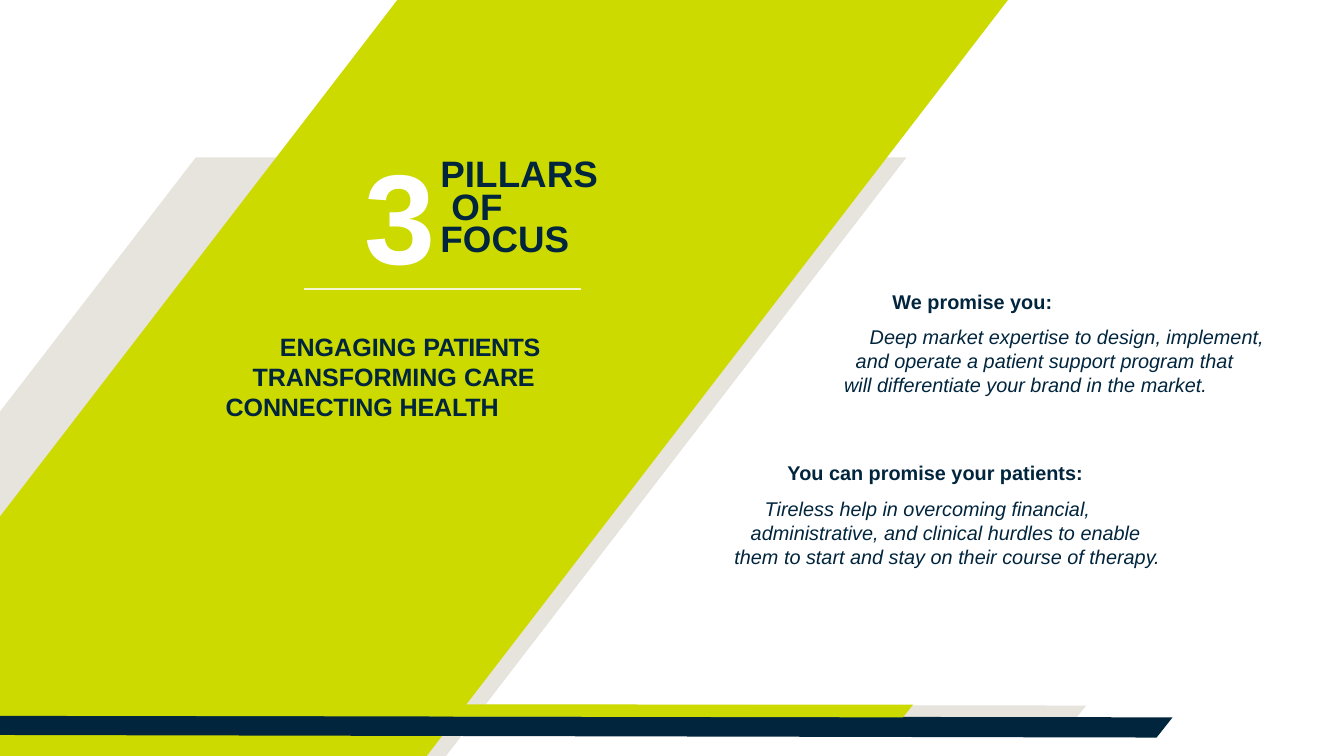
from lxml import etree
from pptx import Presentation
from pptx.dml.color import RGBColor
from pptx.enum.shapes import MSO_CONNECTOR
from pptx.enum.text import MSO_ANCHOR, MSO_AUTO_SIZE, PP_ALIGN
from pptx.oxml.ns import qn
from pptx.util import Pt

STRAIGHT = MSO_CONNECTOR.STRAIGHT
TOP = MSO_ANCHOR.TOP
NO_FIT = MSO_AUTO_SIZE.NONE
LEFT = PP_ALIGN.LEFT

COLORS = {"navy": "00253D", "lime": "CCDA00", "sand": "E7E4DD",
          "rule": "F5F8CE", "white": "FFFFFF"}


def place(box, left, top, width, height):
    """Set the frame of a text shape and clear its insets."""
    box.left, box.top, box.width, box.height = Pt(left), Pt(top), Pt(width), Pt(height)
    frame = box.text_frame
    frame.margin_left = frame.margin_right = frame.margin_top = frame.margin_bottom = 0
    frame.word_wrap = True
    frame.auto_size = NO_FIT
    frame.vertical_anchor = TOP
    return frame


def write_lines(frame, lines, size, pitch, color="navy"):
    """Each line: indent, space before, bold, italic, [(text, tracking), ...]."""
    for number, (indent, before, bold, italic, runs) in enumerate(lines):
        line = frame.add_paragraph() if number else frame.paragraphs[0]
        line.alignment = LEFT
        line.line_spacing = pitch
        line.space_before = Pt(before)
        line.space_after = Pt(0)
        properties = line._p.get_or_add_pPr()
        properties.set("marL", str(Pt(indent)))
        properties.set("indent", "0")
        etree.SubElement(properties, qn("a:buNone"))
        for text, tracking in runs:
            run = line.add_run()
            run.text = text
            run.font.name = "Arial"
            run.font.size = Pt(size)
            run.font.bold = bold
            run.font.italic = italic
            run.font.color.rgb = RGBColor.from_string(COLORS[color])
            run.font._element.set("spc", str(round(tracking * 100)))


prs = Presentation()
prs.slide_width, prs.slide_height = Pt(1152), Pt(648)
slide = prs.slides.add_slide(prs.slide_layouts[1])
title, promises = slide.placeholders

# Slanted bands, back to front
bands = [
    ("sand", [(112.3, 603.4), (103.7, 614.2), (922.3, 615.6), (931, 604.8)]),
    ("sand", [(776.9, 135), (167.8, 135), (0, 352.8), (0, 648), (382.3, 648)]),
    ("lime", [(864, 0), (340.6, 0), (0, 442.8), (0, 648), (365.8, 648)]),
    ("navy", [(0, 613.4), (0, 630), (991.4, 632.2), (1005.1, 614.9)]),
    ("lime", [(0, 603.4), (0, 613.4), (774, 614.9), (782.6, 604.1)]),
]
for color, corners in bands:
    points = [(Pt(x), Pt(y)) for x, y in corners]
    outline = slide.shapes.build_freeform(*points[0], scale=1.0)
    outline.add_line_segments(points[1:], close=True)
    band = outline.convert_to_shape()
    band.shadow.inherit = False
    band.fill.solid()
    band.fill.fore_color.rgb = RGBColor.from_string(COLORS[color])
    band.line.fill.background()

# Bring the placeholders in front of the bands
for placeholder in (title, promises):
    placeholder.element.getparent().append(placeholder.element)

# Heading with its large numeral
numeral = slide.shapes.add_textbox(0, 0, 0, 0)
write_lines(place(numeral, 312.5, 117, 64, 128),
            [(0, 0, True, False, [("3", 0)])], 109.5, 1.0, "white")
write_lines(place(title, 377.5, 139.3, 150, 90), [
    (0, 0, True, False, [("PILLARS", 0.1)]),
    (9.5, 0, True, False, [("OF", 0.1)]),
    (0, 0, True, False, [("FOCUS", 0.1)]),
], 31.5, Pt(27.9))

# Rule under the heading
rule = slide.shapes.add_connector(STRAIGHT, Pt(260.6), Pt(247.7), Pt(498.2), Pt(247.7))
rule.line.color.rgb = RGBColor.from_string(COLORS["rule"])
rule.line.width = Pt(1)
etree.SubElement(rule.element.spPr, qn("a:effectLst"))

# The three pillars
pillars = slide.shapes.add_textbox(0, 0, 0, 0)
write_lines(place(pillars, 193.5, 284, 300, 78), [
    (46.5, 0, True, False, [("ENGAGING ", 0), ("PATIENTS", -0.4)]),
    (23, 0, True, False, [("TRANSFORMING ", 0), ("CARE", -0.1)]),
    (0, 0, True, False, [("CONNECTING HEALTH", -0.1)]),
], 21.5, Pt(25.7))

# Promises, stepped along the slant
write_lines(place(promises, 629.5, 248, 488, 252), [
    (135.5, 0, True, False, [("We promise you:", 0)]),
    (116, 9.6, False, True, [("Deep market expertise to design, implement,", 0)]),
    (104, 0, False, True, [("and operate a patient support program that", 0)]),
    (94, 0, False, True, [("will differentiate your brand in the market.", 0)]),
    (45.5, 54.8, True, False, [("You can promise your patients:", 0)]),
    (26, 10, False, True, [("Tireless help in overcoming financial,", 0)]),
    (14, 0, False, True, [("administrative, and clinical hurdles to enable", 0)]),
    (0, 0, False, True, [("them to start and stay on their course of therapy.", 0)]),
], 17, Pt(20.6))

prs.save("out.pptx")
